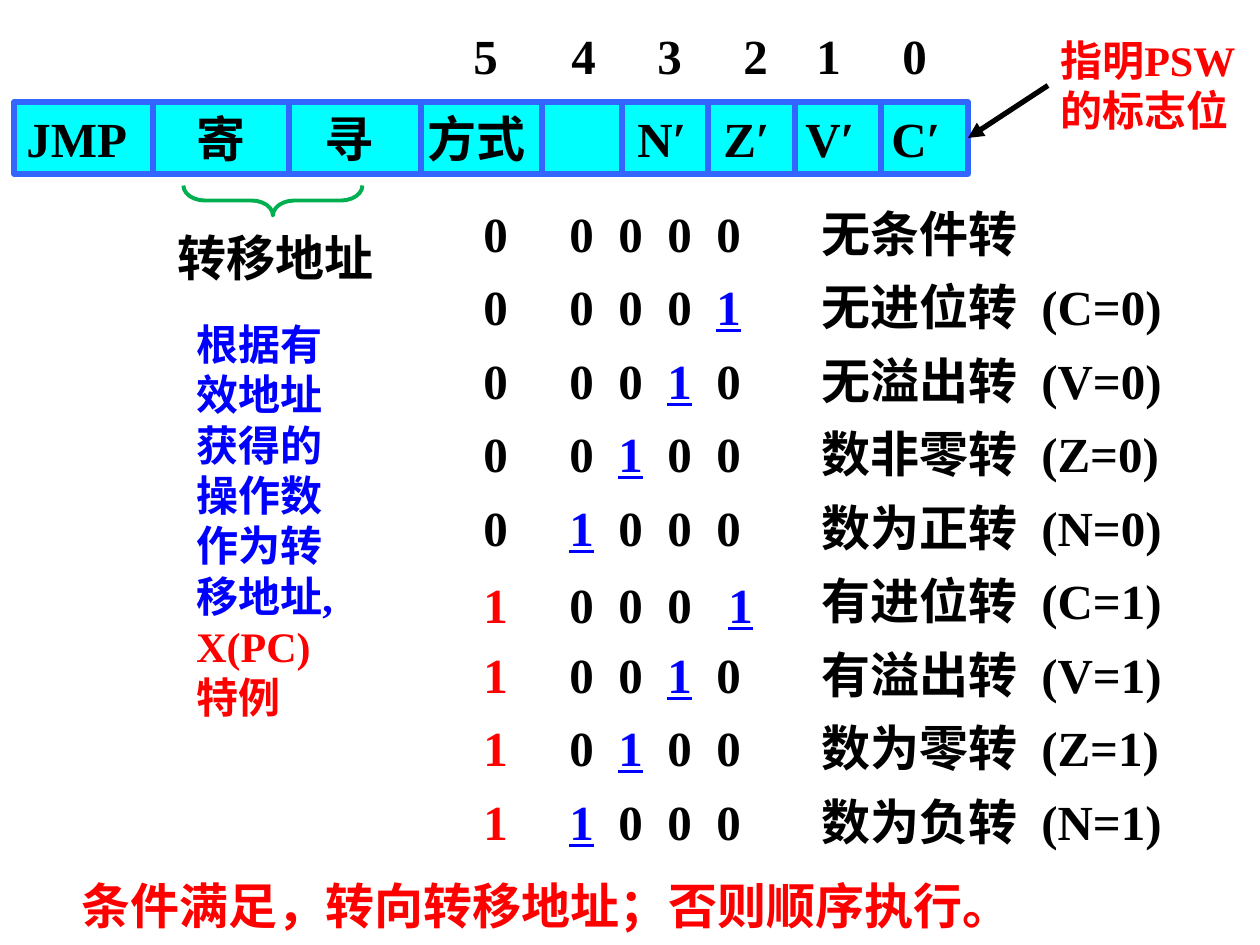
import pptx
import pptx.dml.color
import pptx.enum.dml
import pptx.enum.shapes
import pptx.enum.text
import pptx.oxml
import pptx.oxml.ns
import pptx.util

SCALE = 914400 / 126  # EMU per px
FONT = "Times New Roman"
COLORS = {
    "black": "000000", "red": "FF0000", "blue": "0000FF", "white": "FFFFFF",
    "cyan": "00FFFF", "border": "3366FF", "green": "00B050",
}


def emu(*px):
    return [pptx.util.Emu(round(v * SCALE)) for v in px]


def put_text(text, box=None, sp=None, size=28, color="black", tabs=()):
    """Write text into a new box, or into sp; text is a string or a list of
    paragraphs, each a list of (words, color, underline) runs."""
    if sp is None:
        sp = s.shapes.add_textbox(*emu(*box))
    tf = sp.text_frame
    tf.word_wrap = True
    tf.vertical_anchor = pptx.enum.text.MSO_ANCHOR.TOP
    paragraphs = [[(text, color, False)]] if isinstance(text, str) else text
    for i, runs in enumerate(paragraphs):
        p = tf.add_paragraph() if i else tf.paragraphs[0]
        p.alignment = pptx.enum.text.PP_ALIGN.LEFT
        if tabs:
            tab_list = pptx.oxml.ns.qn("a:tabLst")
            stops = p._p.get_or_add_pPr().makeelement(tab_list, {})
            p._p.get_or_add_pPr().append(stops)
            for pos in tabs:
                stop = stops.makeelement(pptx.oxml.ns.qn("a:tab"),
                                         {"pos": str(emu(pos)[0]), "algn": "l"})
                stops.append(stop)
        for words, name, underline in runs:
            r = p.add_run()
            r.text = words
            r.font.name = FONT
            r.font.size = pptx.util.Pt(size)
            r.font.bold = True
            if underline:
                r.font.underline = True
            r.font.color.rgb = pptx.dml.color.RGBColor.from_string(COLORS[name])
    return sp


def add_line(x1, y1, x2, y2, color):
    c = s.shapes.add_connector(pptx.enum.shapes.MSO_CONNECTOR.STRAIGHT,
                               *emu(x1, y1, x2, y2))
    c.line.color.rgb = pptx.dml.color.RGBColor.from_string(COLORS[color])
    c.line.width = pptx.util.Pt(3)
    sp_pr = c._element.spPr
    sp_pr.append(sp_pr.makeelement(pptx.oxml.ns.qn("a:effectLst"), {}))
    return c


prs = pptx.Presentation()
prs.slide_width, prs.slide_height = emu(1260, 945)
s = prs.slides.add_slide(prs.slide_layouts[6])

# Bit numbers above the instruction word
put_text("5\t4\t3\t2\t1\t0", box=(461, 19, 527, 72),
         tabs=(98, 184, 270, 343, 429))

# Brace under the address fields, and the instruction word
shapes = pptx.enum.shapes.MSO_SHAPE
brace = s.shapes.add_shape(shapes.LEFT_BRACE, *emu(258, 111, 30, 179))
brace.rotation = 270
brace.adjustments[0] = 0.71
bar = s.shapes.add_shape(shapes.RECTANGLE, *emu(14, 102, 954, 72))
for sp, fill, line, width in ((brace, "white", "green", 2.25),
                              (bar, "cyan", "border", 3)):
    sp.shadow.inherit = False
    sp.fill.solid()
    sp.fill.fore_color.rgb = pptx.dml.color.RGBColor.from_string(COLORS[fill])
    sp.line.color.rgb = pptx.dml.color.RGBColor.from_string(COLORS[line])
    sp.line.width = pptx.util.Pt(width)
put_text("JMP\t寄\t寻\t方式\tN′\tZ′\tV′\tC′", sp=bar,
         tabs=(170, 298, 401, 611, 697, 779, 865))
for x in (153, 289, 421, 542, 622, 708, 795, 881):
    add_line(x, 102, x, 171, "border")

# Notes on the address
put_text("转移地址", box=(165, 221, 236, 72))
put_text([[("根据有效地址获得的操作数作为转移地址,", "blue", False)],
          [("X(PC)特例", "red", False)]], box=(184, 312, 179, 420), size=24)

# Condition rows: mode bits, index of the marked bit, meaning, condition
rows = [
    ("00000", None, "无条件转", ""),
    ("00001", 4, "无进位转", "(C=0)"),
    ("00010", 3, "无溢出转", "(V=0)"),
    ("00100", 2, "数非零转", "(Z=0)"),
    ("01000", 1, "数为正转", "(N=0)"),
    ("10001", 4, "有进位转", "(C=1)"),
    ("10010", 3, "有溢出转", "(V=1)"),
    ("10100", 2, "数为零转", "(Z=1)"),
    ("11000", 1, "数为负转", "(N=1)"),
]
for i, (bits, marked, meaning, condition) in enumerate(rows):
    y = 197 + 147 * i // 2
    runs = [(bits[0], "red" if bits[0] == "1" else "black", False)]
    for n, bit in enumerate(bits[1:], 1):
        runs.append(("\t", "black", False))
        runs.append((bit, "blue" if n == marked else "black", n == marked))
    # The carry row sits slightly lower, with its last bit further right
    shifted = bits == "10001"
    put_text([runs], box=(471, y + 4 * shifted, 300, 72),
             tabs=(86, 135, 184, 233 + 12 * shifted))
    put_text(meaning, box=(809, y, 325, 72))
    if condition:
        put_text(condition, box=(1029, y, 189, 72))

# Conclusion
put_text("条件满足，转向转移地址；否则顺序执行。", box=(69, 869, 1007, 72),
         color="red")

# Flag note with its arrow to the instruction word
note = put_text("指明PSW的标志位", box=(1048, 28, 209, 115), size=24, color="red")
arrow = add_line(1048, 86, 968, 138, "black")
arrow.begin_connect(note, 1)
arrow.end_connect(bar, 3)
ln = arrow.line._get_or_add_ln()
ln.append(ln.makeelement(pptx.oxml.ns.qn("a:tailEnd"), {"type": "triangle"}))

prs.save("out.pptx")
